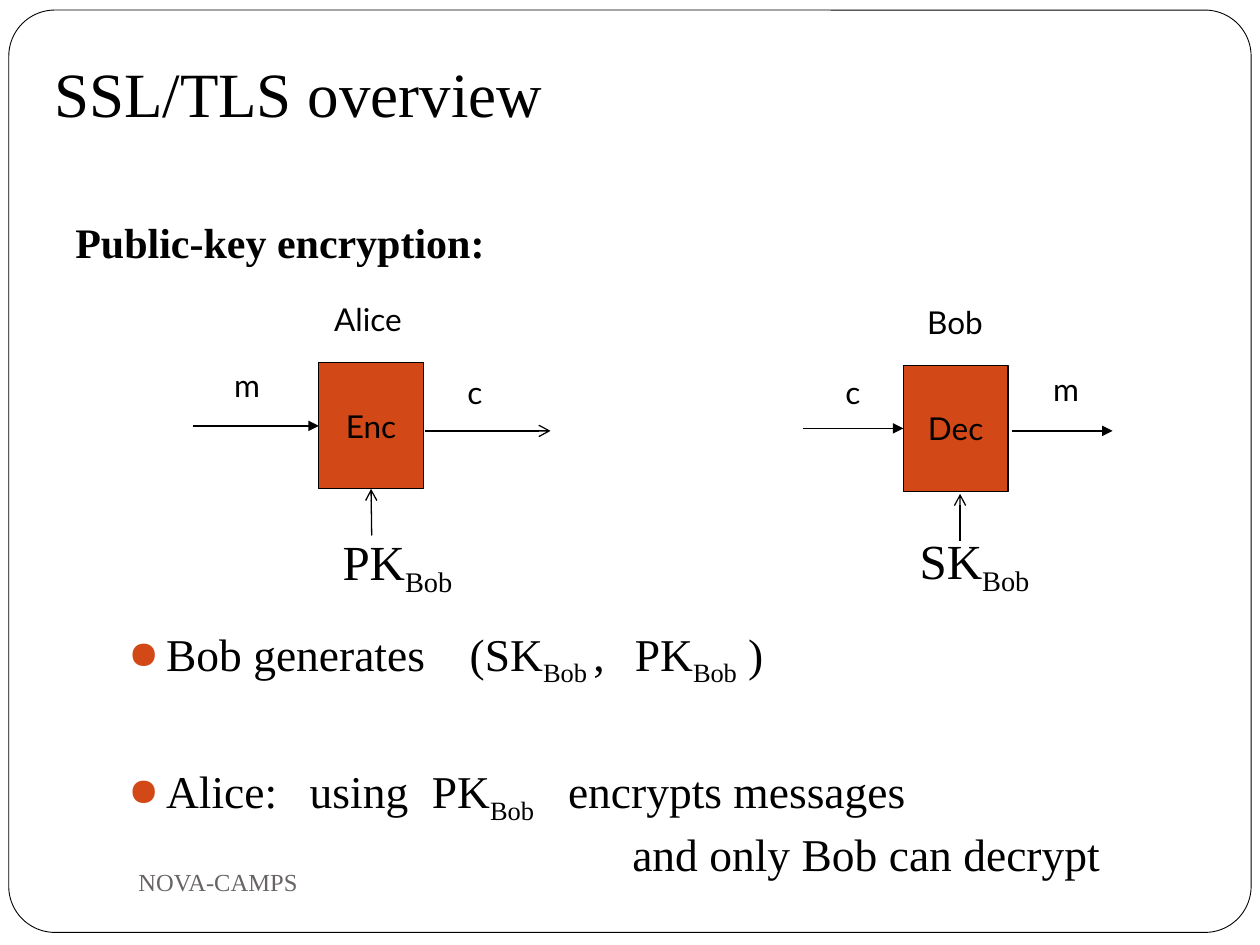
from lxml.etree import SubElement
from pptx import Presentation
from pptx.dml.color import RGBColor
from pptx.enum.shapes import MSO_CONNECTOR, MSO_SHAPE
from pptx.enum.text import MSO_ANCHOR, MSO_AUTO_SIZE, PP_ALIGN
from pptx.oxml.ns import qn
from pptx.util import Inches, Pt

COLORS = {"ink": "000000", "paper": "FFFFFF", "accent": "D34817", "muted": "696464"}
SERIF, SANS = "Times New Roman", "Lato"

TITLE = "SSL/TLS overview"
HEADING = "Public-key encryption:"
FOOTER = "NOVA-CAMPS"
LABELS = [
    ("Alice", 2.48, 2.33, 0.88),
    ("m", 1.72, 2.86, 0.48),
    ("c", 3.59, 2.91, 0.36),
    ("Bob", 7.2, 2.36, 0.76),
    ("c", 6.59, 2.91, 0.36),
    ("m", 8.22, 2.89, 0.48),
]
STEPS = {"Enc": (2.53, 2.88), "Dec": (7.17, 2.9)}
KEYS = [("PK", 2.62, 4.17), ("SK", 7.2, 4.16)]
ARROWS = [
    ((1.53, 3.38), (2.53, 3.38), "triangle", ("Enc", 1)),
    ((6.37, 3.4), (7.17, 3.4), "triangle", ("Dec", 1)),
    ((2.95, 4.25), (2.95, 3.88), "arrow", ("Enc", 2)),
    ((7.62, 4.29), (7.62, 3.92), "arrow", None),
    ((3.37, 3.42), (4.37, 3.42), "arrow", None),
    ((8.03, 3.42), (8.83, 3.42), "triangle", None),
]
BULLETS = [
    (5.8, (2.71, 4.02), ["Bob generates\t(SK", "Bob ", ",\tPK", "Bob", " )"]),
    (43, (1.44, 2.41, 3.49, 4), ["Alice:\tusing\tPK", "Bob",
                                 "\tencrypts messages\v\t\t\t\tand only Bob can decrypt"]),
]


def color(name):
    return RGBColor.from_string(COLORS[name])


def style(paragraph, size, face=SERIF, ink="ink", bold=False):
    font = paragraph.font
    font.size, font.name, font.bold = Pt(size), face, bold
    font.color.rgb = color(ink)


def add_box(page, left, top, width, height, wrap=True):
    box = page.shapes.add_textbox(*map(Inches, (left, top, width, height)))
    box.text_frame.word_wrap = wrap
    return box.text_frame


def add_panel(page, preset, bounds, fill, weight):
    panel = page.shapes.add_shape(preset, *map(Inches, bounds))
    panel.shadow.inherit = False
    panel.fill.solid()
    panel.fill.fore_color.rgb = color(fill)
    panel.line.color.rgb = color("ink")
    panel.line.width = Pt(weight)
    return panel


def write_label(frame, text):
    paragraph = frame.paragraphs[0]
    paragraph.text = text
    paragraph.alignment = PP_ALIGN.CENTER
    style(paragraph, 18, SANS)


def write_subscripted(paragraph, parts, size):
    """Write parts whose every second entry is a subscript."""
    for index, part in enumerate(parts):
        first, *rest = part.split("\v")
        span = paragraph.add_run()
        span.text = first
        if index % 2:
            span.font._element.set("baseline", "-25000")
        for line in rest:
            paragraph.add_line_break()
            paragraph.add_run().text = line
    style(paragraph, size)


def add_bullet(paragraph, stops):
    properties = paragraph._p.get_or_add_pPr()
    properties.set("marL", str(Inches(0.3)))
    properties.set("indent", str(-Inches(0.3)))
    bullet_color = SubElement(properties, qn("a:buClr"))
    SubElement(bullet_color, qn("a:srgbClr"), val=COLORS["accent"])
    SubElement(properties, qn("a:buSzPct"), val="85000")
    SubElement(properties, qn("a:buChar"), char="●")
    tabs = SubElement(properties, qn("a:tabLst"))
    for stop in stops:
        SubElement(tabs, qn("a:tab"), pos=str(Inches(stop)), algn="l")


def add_arrow(page, start, end, head, target):
    arrow = page.shapes.add_connector(MSO_CONNECTOR.STRAIGHT, *map(Inches, start + end))
    if target:
        arrow.end_connect(*target)
    arrow.line.color.rgb = color("ink")
    arrow.line.width = Pt(0.75)
    SubElement(arrow.line._get_or_add_ln(), qn("a:tailEnd"), type=head)
    SubElement(arrow._element.spPr, qn("a:effectLst"))


def main():
    deck = Presentation()
    deck.slide_width, deck.slide_height = Inches(10), Inches(7.5)
    page = deck.slides.add_slide(deck.slide_layouts[5])

    border = add_panel(page, MSO_SHAPE.ROUNDED_RECTANGLE, (0.07, 0.08, 9.86, 7.32), "paper", 0.5)
    border.adjustments[0] = 0.05
    border.element.getparent().insert(2, border.element)

    title = page.shapes.title
    title.left, title.top, title.width, title.height = map(Inches, (0.33, 0.33, 8.5, 0.8))
    frame = title.text_frame
    frame.text = TITLE
    frame.auto_size = MSO_AUTO_SIZE.NONE
    frame.vertical_anchor = MSO_ANCHOR.BOTTOM
    frame.margin_bottom = Inches(0.1)
    frame.paragraphs[0].alignment = PP_ALIGN.LEFT
    style(frame.paragraphs[0], 36)

    for text, left, top, width in LABELS:
        write_label(add_box(page, left, top, width, 0.5, wrap=False), text)

    panels = {}
    for text, (left, top) in STEPS.items():
        panel = add_panel(page, MSO_SHAPE.RECTANGLE, (left, top, 0.83, 1), "accent", 0.75)
        panel.text_frame.word_wrap = False
        panel.text_frame.vertical_anchor = MSO_ANCHOR.MIDDLE
        write_label(panel.text_frame, text)
        panels[text] = panel

    for start, end, head, joint in ARROWS:
        target = (panels[joint[0]], joint[1]) if joint else None
        add_arrow(page, start, end, head, target)

    for key, left, top in KEYS:
        frame = add_box(page, left, top, 1.19, 0.57, wrap=False)
        write_subscripted(frame.paragraphs[0], [key, "Bob"], 28)

    frame = add_box(page, 0.92, 4.92, 8.5, 2.17)
    for index, (gap, stops, parts) in enumerate(BULLETS):
        paragraph = frame.add_paragraph() if index else frame.paragraphs[0]
        paragraph.space_before = Pt(gap)
        add_bullet(paragraph, stops)
        write_subscripted(paragraph, parts, 26)

    heading = add_box(page, 0.5, 1.67, 8.5, 0.83).paragraphs[0]
    heading.text = HEADING
    style(heading, 24, bold=True)

    frame = add_box(page, 1, 6.75, 4.33, 0.5)
    frame.vertical_anchor = MSO_ANCHOR.MIDDLE
    frame.paragraphs[0].text = FOOTER
    style(frame.paragraphs[0], 14, ink="muted")

    deck.save("out.pptx")


if __name__ == "__main__":
    main()
